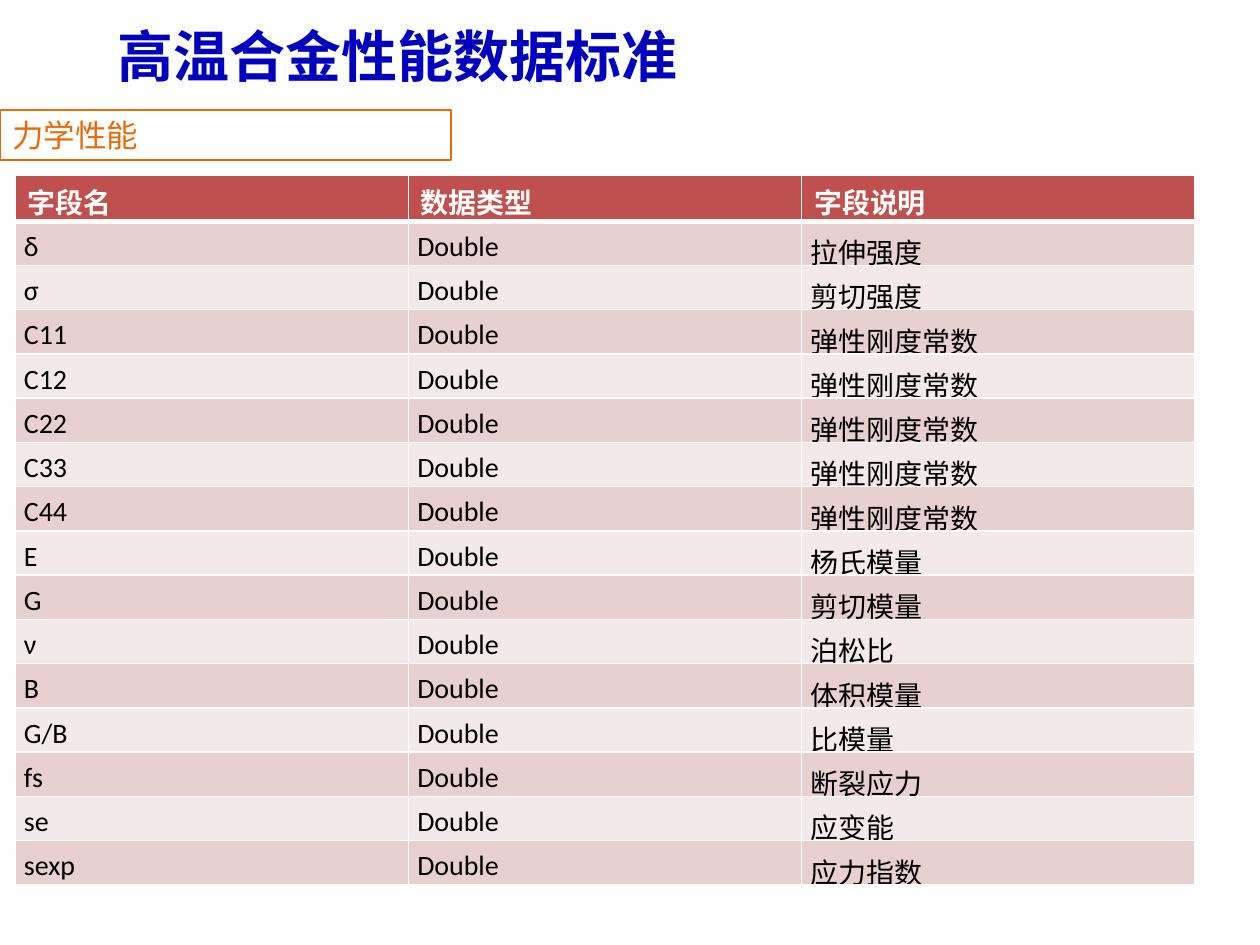
from dataclasses import dataclass

from lxml import etree
from pptx import Presentation
from pptx import util as u
from pptx.dml.color import RGBColor
from pptx.enum import shapes, text
from pptx.oxml import ns

PX = u.Inches(1) / 126


def px(length: float) -> u.Emu:
    return u.Emu(round(length * PX))


@dataclass(frozen=True)
class Theme:
    title: str = "0000BF"
    accent: str = "E46C0A"
    header: str = "C0504D"
    bands: tuple = ("E8D0D0", "F4E9E9")
    light: str = "FFFFFF"
    dark: str = "000000"
    title_font: str = "Noto Sans CJK SC"
    body_font: str = "Calibri"
    title_size: int = 32
    label_size: int = 18
    table_size: int = 16
    border: int = 1
    header_border: int = 3


@dataclass(frozen=True)
class Box:
    left: int
    top: int
    width: int
    height: int

    def emu(self) -> tuple:
        return tuple(px(side) for side in (self.left, self.top, self.width, self.height))


@dataclass(frozen=True)
class Field:
    name: str
    description: str
    data_type: str = "Double"

    def texts(self) -> tuple:
        return self.name, self.data_type, self.description


THEME = Theme()
TITLE_BOX = Box(105, 0, 1134, 110)
LABEL_BOX = Box(0, 110, 451, 50)
TABLE_BOX = Box(15, 175, 1180, 708)
HEADER = ("字段名", "数据类型", "字段说明")
FIELDS = (
    Field("δ", "拉伸强度"),
    Field("σ", "剪切强度"),
    *(Field(name, "弹性刚度常数") for name in ("C11", "C12", "C22", "C33", "C44")),
    Field("E", "杨氏模量"),
    Field("G", "剪切模量"),
    Field("ν", "泊松比"),
    Field("B", "体积模量"),
    Field("G/B", "比模量"),
    Field("fs", "断裂应力"),
    Field("se", "应变能"),
    Field("sexp", "应力指数"),
)


def write(text_frame, content: str, size: int, color: str, font: str, bold: bool = False):
    text_frame.text = content
    paragraph = text_frame.paragraphs[0]
    paragraph.alignment = text.PP_ALIGN.LEFT
    run_font = paragraph.runs[0].font
    run_font.size = u.Pt(size)
    run_font.bold = bold
    run_font.name = font
    run_font.color.rgb = RGBColor.from_string(color)
    return paragraph


def add_title(slide, content: str) -> None:
    shape = slide.shapes.add_textbox(*TITLE_BOX.emu())
    text_frame = shape.text_frame
    text_frame.word_wrap = True
    text_frame.vertical_anchor = text.MSO_ANCHOR.MIDDLE
    paragraph = write(text_frame, content, THEME.title_size, THEME.title, THEME.title_font, True)
    properties = paragraph.runs[0]._r.get_or_add_rPr()
    etree.SubElement(properties, ns.qn("a:ea"), typeface=THEME.title_font)


def add_label(slide, content: str) -> None:
    shape = slide.shapes.add_shape(shapes.MSO_SHAPE.RECTANGLE, *LABEL_BOX.emu())
    shape.shadow.inherit = False
    shape.fill.background()
    shape.line.color.rgb = RGBColor.from_string(THEME.accent)
    shape.line.width = u.Pt(0.75)
    text_frame = shape.text_frame
    text_frame.word_wrap = True
    text_frame.vertical_anchor = text.MSO_ANCHOR.TOP
    write(text_frame, content, THEME.label_size, THEME.accent, THEME.body_font)


def style_cell(cell, fill: str, top: int, bottom: int) -> None:
    properties = cell._tc.get_or_add_tcPr()
    widths = {"lnL": THEME.border, "lnR": THEME.border, "lnT": top, "lnB": bottom}
    for tag, width in widths.items():
        line = etree.SubElement(properties, ns.qn(f"a:{tag}"), w=str(u.Pt(width)))
        line_fill = etree.SubElement(line, ns.qn("a:solidFill"))
        etree.SubElement(line_fill, ns.qn("a:srgbClr"), val=THEME.light)
    cell.fill.solid()
    cell.fill.fore_color.rgb = RGBColor.from_string(fill)


def fill_header_cell(cell, content: str) -> None:
    style_cell(cell, THEME.header, THEME.border, THEME.header_border)
    write(cell.text_frame, content, THEME.table_size, THEME.light, THEME.body_font, True)


def fill_body_cell(cell, content: str, row: int, hanging: bool) -> None:
    top = THEME.header_border if row == 0 else THEME.border
    style_cell(cell, THEME.bands[row % 2], top, THEME.border)
    cell.margin_left = cell.margin_right = px(9)
    cell.margin_top = cell.margin_bottom = 0
    paragraph = write(cell.text_frame, content, THEME.table_size, THEME.dark, THEME.body_font)
    paragraph.alignment = text.PP_ALIGN.JUSTIFY
    paragraph.line_spacing = 1.25
    paragraph.space_before = paragraph.space_after = u.Pt(3.1)
    if hanging:
        properties = paragraph._p.get_or_add_pPr()
        properties.set("marL", str(px(189)))
        properties.set("indent", str(-px(189)))


def add_field_table(slide) -> None:
    row_count = len(FIELDS) + 1
    frame = slide.shapes.add_table(row_count, len(HEADER), *TABLE_BOX.emu())
    table = frame.table
    for column in table.columns:
        column.width = px(TABLE_BOX.width / len(HEADER))
    for row in table.rows:
        row.height = px(TABLE_BOX.height / row_count)
    for column, content in enumerate(HEADER):
        fill_header_cell(table.cell(0, column), content)
    for row, field in enumerate(FIELDS):
        for column, content in enumerate(field.texts()):
            hanging = content != field.data_type
            fill_body_cell(table.cell(row + 1, column), content, row, hanging)


def main() -> None:
    presentation = Presentation()
    presentation.slide_width = px(1260)
    presentation.slide_height = px(945)
    slide = presentation.slides.add_slide(presentation.slide_layouts[6])
    add_title(slide, "高温合金性能数据标准")
    add_label(slide, "力学性能")
    add_field_table(slide)
    presentation.save("out.pptx")


if __name__ == "__main__":
    main()
